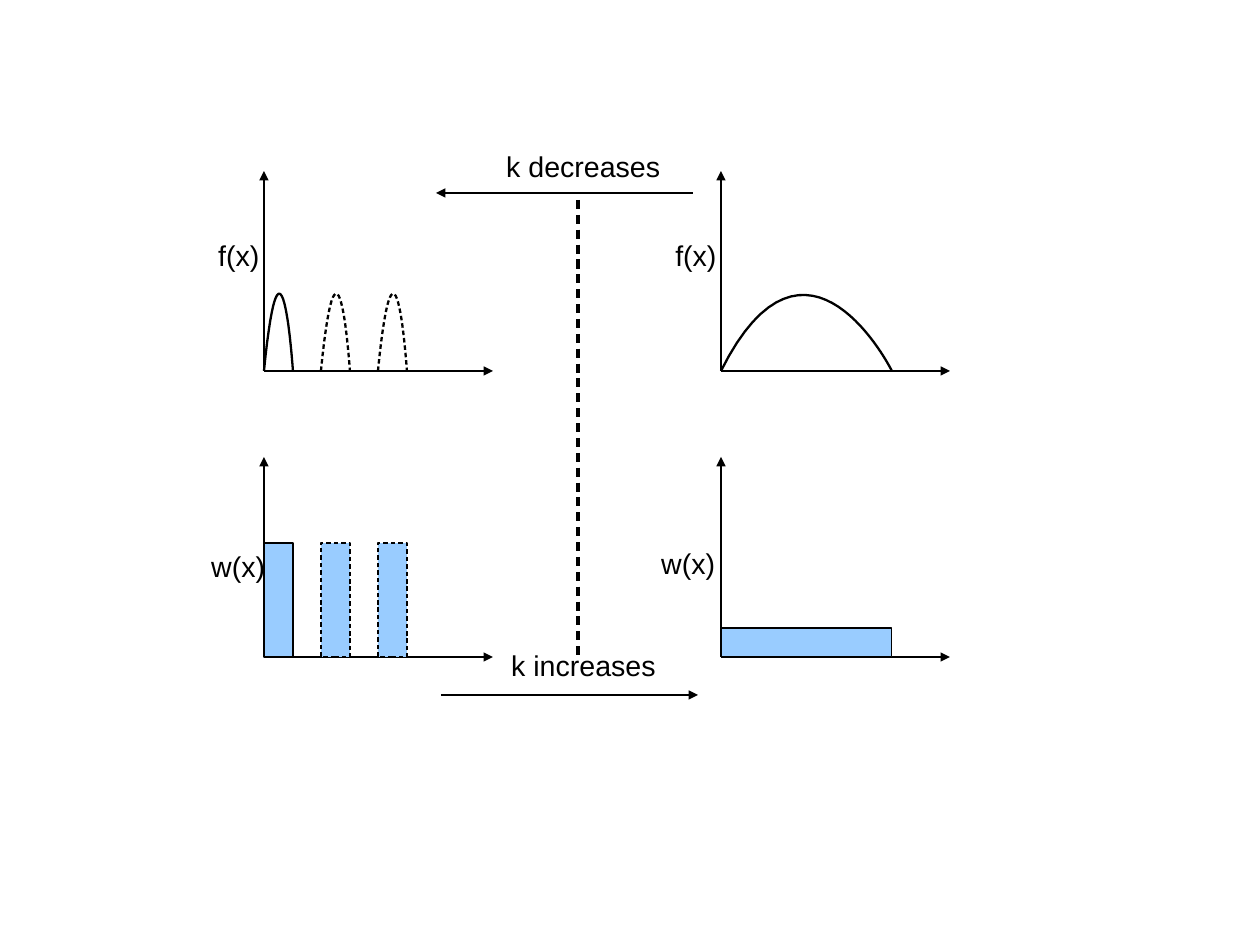
import pptx
import pptx.util
import pptx.dml.color
import pptx.enum.shapes
import pptx.enum.text
import pptx.oxml.ns
from dataclasses import dataclass
from lxml import etree


@dataclass(frozen=True)
class Theme:
    ink: str = "000000"
    bar: str = "99CCFF"
    font: str = "Arial"
    label_size: int = 18
    hairline: float = 0
    thin: float = 1.45
    thick: float = 2.89
    dash: int = 197000
    gap: int = 127000


THEME = Theme()
EMU_PER_PX = 8000
SLIDE_SIZE = (1260, 945)
AXIS_LENGTH, AXIS_HEIGHT = 229, 200
CURVE_STEPS = 32
LABEL_HEIGHT = 54

COLUMNS = (264, 721)
F_BASE, W_BASE = 371, 657
SMALL_K = {"left": COLUMNS[0], "width": 29, "pitch": 57, "count": 3,
           "pull": (0.6, 174), "bar_height": 114, "bar_line": THEME.thin}
LARGE_K = {"left": COLUMNS[1], "width": 171, "pitch": 0, "count": 1,
           "pull": (0.5, 171), "bar_height": 29, "bar_line": THEME.hairline}
DIVIDER = (578, 200, 578, 657)
K_ARROWS = [(693, 193, 436, 193), (441, 695, 698, 695)]
LABELS = [
    ("f(x)", 207, 232, 86),
    ("f(x)", 664, 232, 86),
    ("w(x)", 200, 543, 86),
    ("w(x)", 650, 540, 86),
    ("k decreases", 495, 143, 198),
    ("k increases", 500, 642, 198),
]


def emu(*lengths):
    return [round(length * EMU_PER_PX) for length in lengths]


def color(value):
    return pptx.dml.color.RGBColor.from_string(value)


def draw_line(part, width, dashed=False, arrow=False):
    part.line.color.rgb = color(THEME.ink)
    part.line.width = pptx.util.Pt(width)
    qn = pptx.oxml.ns.qn
    ln = part.line._get_or_add_ln()
    if dashed:
        pattern = etree.SubElement(ln, qn("a:custDash"))
        etree.SubElement(pattern, qn("a:ds"), d=str(THEME.dash), sp=str(THEME.gap))
    if arrow:
        etree.SubElement(ln, qn("a:tailEnd"), type="triangle")


def add_line(shapes, ends, width, dashed=False, arrow=False):
    line = shapes.add_connector(pptx.enum.shapes.MSO_CONNECTOR.STRAIGHT, *emu(*ends))
    draw_line(line, width, dashed, arrow)
    etree.SubElement(line._element.spPr, pptx.oxml.ns.qn("a:effectLst"))


def add_curve(shapes, left, width, pull, dashed):
    pull_across, pull_up = pull
    points = []
    for step in range(CURVE_STEPS + 1):
        t = step / CURVE_STEPS
        first = 3 * t * (1 - t) ** 2
        last = 3 * t ** 2 * (1 - t) + t ** 3
        points.append(emu(left + width * (first * pull_across + last),
                          F_BASE - first * pull_up))
    outline = shapes.build_freeform(*points[0])
    outline.add_line_segments(points[1:], close=False)
    curve = outline.convert_to_shape()
    curve.shadow.inherit = False
    curve.fill.background()
    draw_line(curve, THEME.thin, dashed)


def add_bar(shapes, left, width, height, line_width, dashed):
    bar = shapes.add_shape(pptx.enum.shapes.MSO_SHAPE.RECTANGLE,
                           *emu(left, W_BASE - height, width, height))
    bar.shadow.inherit = False
    bar.fill.solid()
    bar.fill.fore_color.rgb = color(THEME.bar)
    draw_line(bar, line_width, dashed)


def add_label(shapes, text, left, top, width):
    label = shapes.add_textbox(*emu(left, top, width, LABEL_HEIGHT))
    frame = label.text_frame
    frame.word_wrap = True
    frame.auto_size = pptx.enum.text.MSO_AUTO_SIZE.SHAPE_TO_FIT_TEXT
    frame.text = text
    font = frame.paragraphs[0].runs[0].font
    font.name = THEME.font
    font.size = pptx.util.Pt(THEME.label_size)
    font.color.rgb = color(THEME.ink)


def main():
    deck = pptx.Presentation()
    deck.slide_width, deck.slide_height = emu(*SLIDE_SIZE)
    shapes = deck.slides.add_slide(deck.slide_layouts[6]).shapes

    for left in COLUMNS:
        for base in (F_BASE, W_BASE):
            for tip in ((left + AXIS_LENGTH, base), (left, base - AXIS_HEIGHT)):
                add_line(shapes, (left, base, *tip), THEME.thin, arrow=True)

    for kernel in (LARGE_K, SMALL_K):
        for index in range(kernel["count"]):
            left = kernel["left"] + index * kernel["pitch"]
            dashed = index > 0
            add_curve(shapes, left, kernel["width"], kernel["pull"], dashed)
            add_bar(shapes, left, kernel["width"], kernel["bar_height"],
                    kernel["bar_line"], dashed)

    add_line(shapes, DIVIDER, THEME.thick, dashed=True)
    for ends in K_ARROWS:
        add_line(shapes, ends, THEME.thin, arrow=True)
    for label in LABELS:
        add_label(shapes, *label)

    deck.save("out.pptx")


if __name__ == "__main__":
    main()
